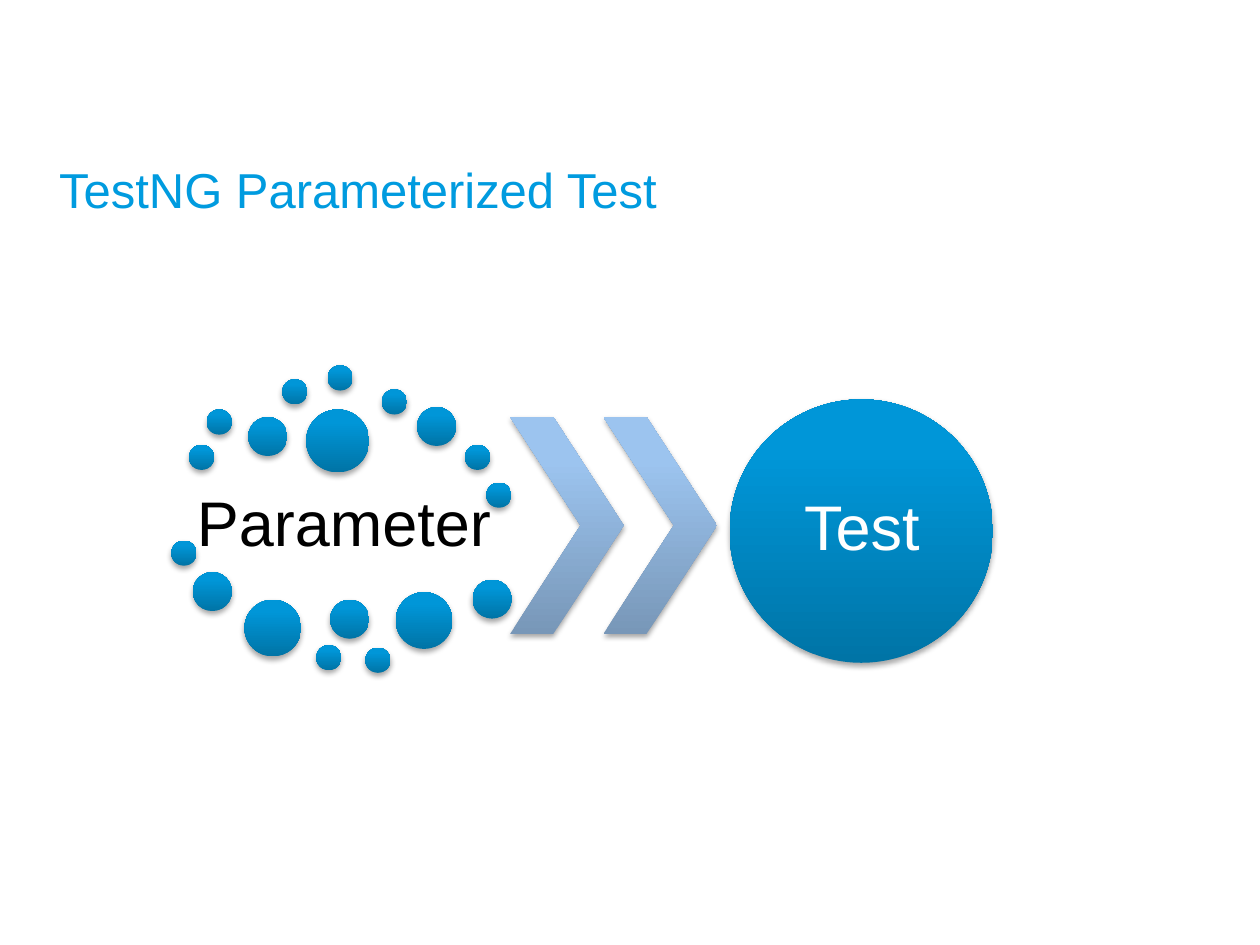
import copy

import pptx
import pptx.dml.color
import pptx.enum.shapes
import pptx.enum.text
import pptx.oxml
import pptx.oxml.ns
import pptx.util

Inches = pptx.util.Inches
Shapes = pptx.enum.shapes.MSO_SHAPE
Align = pptx.enum.text.PP_ALIGN
Anchor = pptx.enum.text.MSO_ANCHOR
qn = pptx.oxml.ns.qn

BLUE = [(0, "0074A6"), (0.8, "0096D8"), (1, "0097D9")]
PALE_BLUE = [(0, "7897B8"), (0.8, "9CC4EF"), (1, "9CC5F1")]
SHADOW = (
    f'<a:outerShdw {pptx.oxml.ns.nsdecls("a")} blurRad="40000" dist="23000" '
    'dir="5400000" rotWithShape="0"><a:srgbClr val="000000">'
    '<a:alpha val="35000"/></a:srgbClr></a:outerShdw>'
)


def write(box, text, size, color, align=Align.CENTER, anchor=Anchor.MIDDLE,
          spacing=0.9, inset=0):
    frame = box.text_frame
    frame.word_wrap = True
    frame.auto_size = pptx.enum.text.MSO_AUTO_SIZE.NONE
    frame.vertical_anchor = anchor
    frame.margin_left = frame.margin_right = Inches(inset)
    frame.margin_top = frame.margin_bottom = Inches(inset)
    paragraph = frame.paragraphs[0]
    paragraph.alignment = align
    paragraph.line_spacing = spacing
    run = paragraph.add_run()
    run.text = text
    run.font.name = "Arial"
    run.font.size = pptx.util.Pt(size)
    run.font.color.rgb = pptx.dml.color.RGBColor.from_string(color)


def add_glossy(kind, left, top, width, height, stops):
    """Add a borderless shape with a three-stop gradient and a soft shadow."""
    shape = slide.shapes.add_shape(
        kind, Inches(left), Inches(top), Inches(width), Inches(height))
    shape.line.fill.background()
    shape.fill.gradient()
    shape.fill.gradient_angle = 90
    properties = shape._element.spPr
    stop_list = properties.find(".//" + qn("a:gsLst"))
    stop_list.append(copy.deepcopy(stop_list[0]))
    for stop, (position, color) in zip(shape.fill.gradient_stops, stops):
        stop.position = position
        stop.color.rgb = pptx.dml.color.RGBColor.from_string(color)
    shape.shadow.inherit = False
    properties.find(qn("a:effectLst")).append(pptx.oxml.parse_xml(SHADOW))
    return shape


presentation = pptx.Presentation()
presentation.slide_width = Inches(10)
presentation.slide_height = Inches(7.5)
slide = presentation.slides.add_slide(presentation.slide_layouts[5])

title = slide.shapes.title
title.left, title.top = Inches(0.47), Inches(0.55)
title.width, title.height = Inches(9.15), Inches(1.18)
write(title, "TestNG Parameterized Test", 28, "009BDF",
      align=Align.LEFT, anchor=Anchor.BOTTOM, spacing=1.5)

parameter = slide.shapes.add_textbox(
    Inches(1.5), Inches(3.77), Inches(2.46), Inches(0.81))
write(parameter, "Parameter", 36, "000000", inset=0.05)

# Dots around the parameter, as (left, top) for each diameter
dots = {
    0.2: [(1.5, 3.53), (1.64, 3.25), (2.24, 3.01), (2.6, 2.9), (3.03, 3.09),
          (3.69, 3.53), (3.86, 3.83), (1.36, 4.29), (2.51, 5.12), (2.9, 5.14)],
    0.31: [(1.97, 3.31), (3.31, 3.23), (1.53, 4.54), (2.62, 4.76), (3.75, 4.6)],
    0.45: [(1.94, 4.76), (3.14, 4.7)],
    0.5: [(2.43, 3.25)],
}
for diameter, positions in dots.items():
    for left, top in positions:
        add_glossy(Shapes.OVAL, left, top, diameter, diameter, BLUE)

for left in (4.05, 4.79):
    chevron = add_glossy(Shapes.CHEVRON, left, 3.31, 0.9, 1.72, PALE_BLUE)
    chevron.adjustments[0] = 0.62

add_glossy(Shapes.OVAL, 5.79, 3.17, 2.09, 2.09, BLUE)
test = slide.shapes.add_textbox(
    Inches(6.1), Inches(3.47), Inches(1.48), Inches(1.48))
write(test, "Test", 36, "FFFFFF")

presentation.save("out.pptx")
